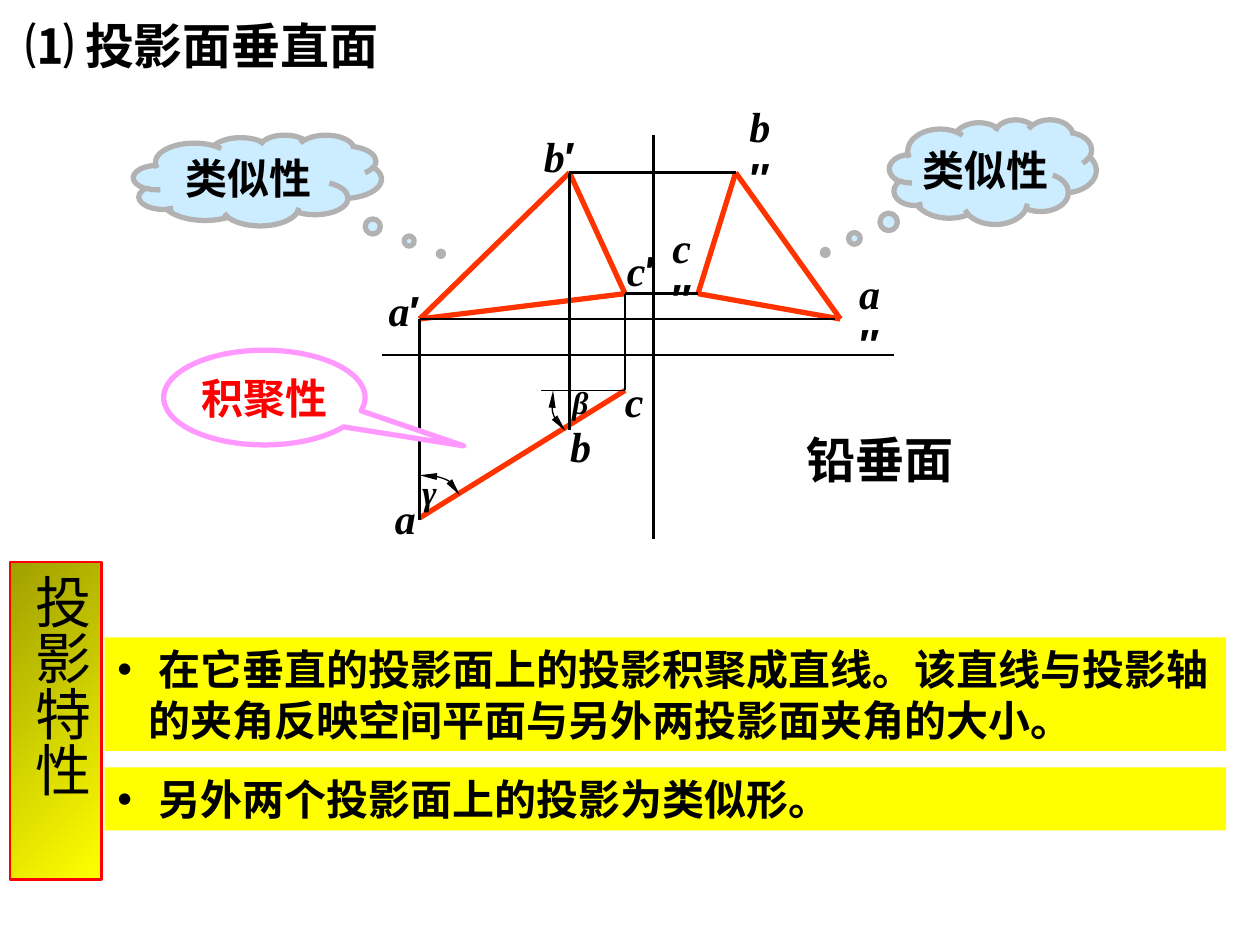
"""Build the slide on planes perpendicular to a projection plane."""
from dataclasses import dataclass
from typing import Optional

from lxml import etree
from pptx import Presentation
from pptx import util as u
from pptx.dml import color
from pptx.enum import shapes as es, text as et
from pptx.oxml.ns import qn

RGB = color.RGBColor
BLACK = RGB(0, 0, 0)
WHITE = RGB(255, 255, 255)
RED = RGB(255, 0, 0)
EDGE = RGB(0xFF, 0x33, 0x00)
SKY = RGB(0xCC, 0xEC, 0xFF)
GREY = RGB(0xB2, 0xB2, 0xB2)
PINK = RGB(0xFF, 0x99, 0xFF)
OLIVE = RGB(0xA0, 0xA0, 0x00)
YELLOW = RGB(255, 255, 0)
HAN, ROMAN, SANS = "Noto Sans CJK SC", "Times New Roman", "Arial"
CLOUD = es.MSO_SHAPE.CLOUD_CALLOUT
OVAL = es.MSO_SHAPE.OVAL_CALLOUT


@dataclass
class Line:
    start: tuple
    end: tuple
    tint: RGB = BLACK
    width: float = 1.5


@dataclass
class Label:
    name: str
    mark: str
    box: tuple
    size: int = 24


@dataclass
class Bubble:
    kind: es.MSO_SHAPE
    words: str
    box: tuple
    tail: tuple
    fill: Optional[RGB]
    line: Optional[RGB]
    tint: RGB = BLACK
    size: int = 24


XA, XB, XC, XO = 8.46, 11.48, 12.6, 13.18
YB, YC, YA, YO = 3.48, 5.92, 6.43, 7.16
FRONT = {"a": (XA, YA), "b": (XB, YB), "c": (XC, YC)}
SIDE = {"a": (16.94, YA), "b": (14.83, YB), "c": (14.07, YC)}
PLAN = {"a": (XA, 10.44), "c": (XC, 7.87)}

EDGES = [Line(view[p], view[q], EDGE, 3)
         for view in (FRONT, SIDE) for p, q in ("ab", "bc", "ca")]
EDGES.append(Line(PLAN["a"], PLAN["c"], EDGE, 3))
AXES = [Line((7.7, YO), (18.03, YO)), Line((XO, 2.72), (XO, 10.87))]
RAYS = [
    Line(FRONT["a"], (XA, 10.49)),
    Line(FRONT["b"], (XB, 8.66)),
    Line(FRONT["c"], PLAN["c"]),
    Line(FRONT["b"], SIDE["b"]),
    Line(FRONT["c"], SIDE["c"]),
    Line(FRONT["a"], (16.84, YA)),
    Line(PLAN["c"], (10.9, 7.87), width=0.75),
]
LABELS = [
    Label("a", "", (7.72, 9.8, 0.91, 1.27)),
    Label("b", "", (11.25, 8.36, 0.91, 1.27)),
    Label("c", "", (12.34, 7.44, 0.89, 1.27)),
    Label("a", "′", (7.54, 5.61, 1.22, 1.27)),
    Label("b", "′", (10.67, 2.51, 1.22, 1.27)),
    Label("c", "′", (12.34, 4.8, 1.17, 1.27)),
    Label("a", "″", (16.87, 5.77, 1.32, 1.27)),
    Label("b", "″", (14.66, 2.41, 1.32, 1.27)),
    Label("c", "″", (13.11, 4.85, 1.27, 1.27)),
    Label("γ", "", (8.26, 9.35, 0.79, 1.12), 20),
    Label("β", "", (11.28, 7.59, 0.84, 1.02), 18),
]
BUBBLES = [
    Bubble(CLOUD, "类似性", (2.69, 2.72, 5, 1.83), (0.74, 0.81), SKY, GREY),
    Bubble(CLOUD, "类似性", (17.93, 2.41, 4.17, 2.11), (-0.81, 0.77), SKY, GREY),
    Bubble(OVAL, "积聚性", (3.3, 7.06, 4.06, 1.91), (0.99, 0.51), WHITE, PINK, RED),
    Bubble(OVAL, "铅垂面", (15.6, 8.41, 4.27, 1.7), (-0.46, -1.43), None, None, size=28),
]
ARCS = [
    [(11.15, 7.87), (11.15, 7.92), (11.1, 8.1), (11.13, 8.2), (11.13, 8.33),
     (11.18, 8.43), (11.23, 8.51), (11.28, 8.59), (11.38, 8.66), (11.4, 8.69)],
    [(8.46, 9.58), (8.51, 9.55), (8.59, 9.55), (8.69, 9.58), (8.79, 9.6),
     (9.02, 9.65), (9.09, 9.73), (9.19, 9.8), (9.22, 9.91), (9.27, 9.98)],
]
NOTES = [
    (" 在它垂直的投影面上的投影积聚成直线。该直线与投影轴的夹角反映空间平面与另外两投影面夹角的大小。",
     (2.11, 12.85, 22.61, 2.29)),
    (" 另外两个投影面上的投影为类似形。", (2.11, 15.47, 22.61, 1.27)),
]


def cms(vals) -> list:
    """Turn centimetre numbers into lengths."""
    return [u.Cm(v) for v in vals]


def place(shape, box: tuple) -> None:
    """Move and size a shape."""
    shape.left, shape.top, shape.width, shape.height = cms(box)


def write(par, words: str, size: int, face: str = HAN, tint: RGB = BLACK,
          bold: bool = True, slant: bool = False) -> None:
    """Add one styled run."""
    run = par.add_run()
    run.text = words
    font = run.font
    font.name, font.size, font.bold, font.italic = face, u.Pt(size), bold, slant
    font.color.rgb = tint
    east = etree.SubElement(run._r.get_or_add_rPr(), qn("a:ea"))
    east.set("typeface", HAN if face == ROMAN else face)


def setup(shape, align, wrap: bool):
    """Centre the text frame vertically and return its first paragraph."""
    frame = shape.text_frame
    frame.word_wrap = wrap
    frame.auto_size = et.MSO_AUTO_SIZE.NONE
    frame.vertical_anchor = et.MSO_ANCHOR.MIDDLE
    par = frame.paragraphs[0]
    par.alignment, par.space_before = align, u.Pt(0)
    return par


def stroke(deck, line: Line) -> None:
    """Draw a straight line."""
    wire = deck.add_connector(es.MSO_CONNECTOR.STRAIGHT, *cms(line.start + line.end))
    wire.line.color.rgb, wire.line.width = line.tint, u.Pt(line.width)
    etree.SubElement(wire._element.spPr, qn("a:effectLst"))


def bend(knots: list, steps: int = 6) -> list:
    """Sample points along joined cubic curves."""
    dots = [knots[0]]
    for i in range(0, len(knots) - 1, 3):
        for k in range(1, steps + 1):
            t = k / steps
            mix = ((1 - t) ** 3, 3 * t * (1 - t) ** 2, 3 * t * t * (1 - t), t ** 3)
            dots.append(tuple(sum(m * p[d] for m, p in zip(mix, knots[i:i + 4]))
                              for d in (0, 1)))
    return dots


def sweep(deck, knots: list) -> None:
    """Draw an angle arc with arrowheads at both ends."""
    dots = [tuple(cms(dot)) for dot in bend(knots)]
    pen = deck.build_freeform(*dots[0])
    pen.add_line_segments(dots[1:], close=False)
    arc = pen.convert_to_shape()
    arc.shadow.inherit = False
    arc.fill.background()
    arc.line.color.rgb, arc.line.width = BLACK, u.Pt(0.75)
    for end in ("a:headEnd", "a:tailEnd"):
        tip = etree.SubElement(arc.line._get_or_add_ln(), qn(end))
        tip.set("type", "triangle")
        tip.set("w", "sm")
        tip.set("len", "lg")


def tag(deck, label: Label) -> None:
    """Add a point or angle label."""
    box = deck.add_textbox(*cms(label.box))
    par = setup(box, et.PP_ALIGN.CENTER, label.mark == "″")
    write(par, label.name, label.size, ROMAN, slant=True)
    if label.mark:
        write(par, label.mark, label.size, SANS)


def puff(deck, item: Bubble) -> None:
    """Draw a callout."""
    shape = deck.add_shape(item.kind, *cms(item.box))
    shape.shadow.inherit = False
    shape.adjustments[0], shape.adjustments[1] = item.tail
    for paint, tint in ((shape.fill, item.fill), (shape.line.fill, item.line)):
        if tint is None:
            paint.background()
        else:
            paint.solid()
            paint.fore_color.rgb = tint
    if item.line is not None:
        shape.line.width = u.Pt(3)
    par = setup(shape, et.PP_ALIGN.CENTER, False)
    write(par, item.words, item.size, ROMAN, item.tint)


def note(shape, words: str, box: tuple) -> None:
    """Fill a body placeholder with one bulleted point."""
    place(shape, box)
    shape.fill.solid()
    shape.fill.fore_color.rgb = YELLOW
    par = setup(shape, et.PP_ALIGN.LEFT, True)
    props = par._p.get_or_add_pPr()
    props.set("marL", str(u.Cm(0.63)))
    props.set("indent", str(-u.Cm(0.63)))
    hue = etree.SubElement(etree.SubElement(props, qn("a:buClr")), qn("a:srgbClr"))
    hue.set("val", str(BLACK))
    etree.SubElement(props, qn("a:buFont")).set("typeface", SANS)
    etree.SubElement(props, qn("a:buChar")).set("char", "•")
    write(par, words, 24)


def banner(deck) -> None:
    """Draw the upright heading beside the notes."""
    shape = deck.add_shape(es.MSO_SHAPE.RECTANGLE, *cms((0.2, 11.33, 1.85, 6.4)))
    shape.shadow.inherit = False
    shape.fill.gradient()
    shape.fill.gradient_angle = 315
    for stop, tint, pos in zip(shape.fill.gradient_stops, (OLIVE, YELLOW), (0, 1)):
        stop.color.rgb, stop.position = tint, pos
    shape.line.color.rgb, shape.line.width = RED, u.Pt(1.5)
    par = setup(shape, et.PP_ALIGN.CENTER, True)
    frame = shape.text_frame
    frame.vertical_anchor = et.MSO_ANCHOR.TOP
    frame.margin_left = frame.margin_right = u.Cm(0.13)
    frame.margin_top = frame.margin_bottom = u.Cm(0.25)
    frame._txBody.bodyPr.set("vert", "eaVert")
    write(par, "投影特性", 32, bold=False)


def main() -> None:
    """Assemble and save the slide."""
    show = Presentation()
    show.slide_width, show.slide_height = cms((25.4, 19.05))
    page = show.slides.add_slide(show.slide_layouts[3])
    deck = page.shapes
    place(deck.title, (0.25, 0.18, 10.44, 1.45))
    write(setup(deck.title, et.PP_ALIGN.LEFT, True), "⑴ 投影面垂直面", 28)
    for slot, (words, box) in zip((1, 2), NOTES):
        note(page.placeholders[slot], words, box)
    for draw, items in ((stroke, AXES + EDGES + RAYS), (puff, BUBBLES),
                        (sweep, ARCS), (tag, LABELS)):
        for item in items:
            draw(deck, item)
    banner(deck)
    show.save("out.pptx")


if __name__ == "__main__":
    main()
